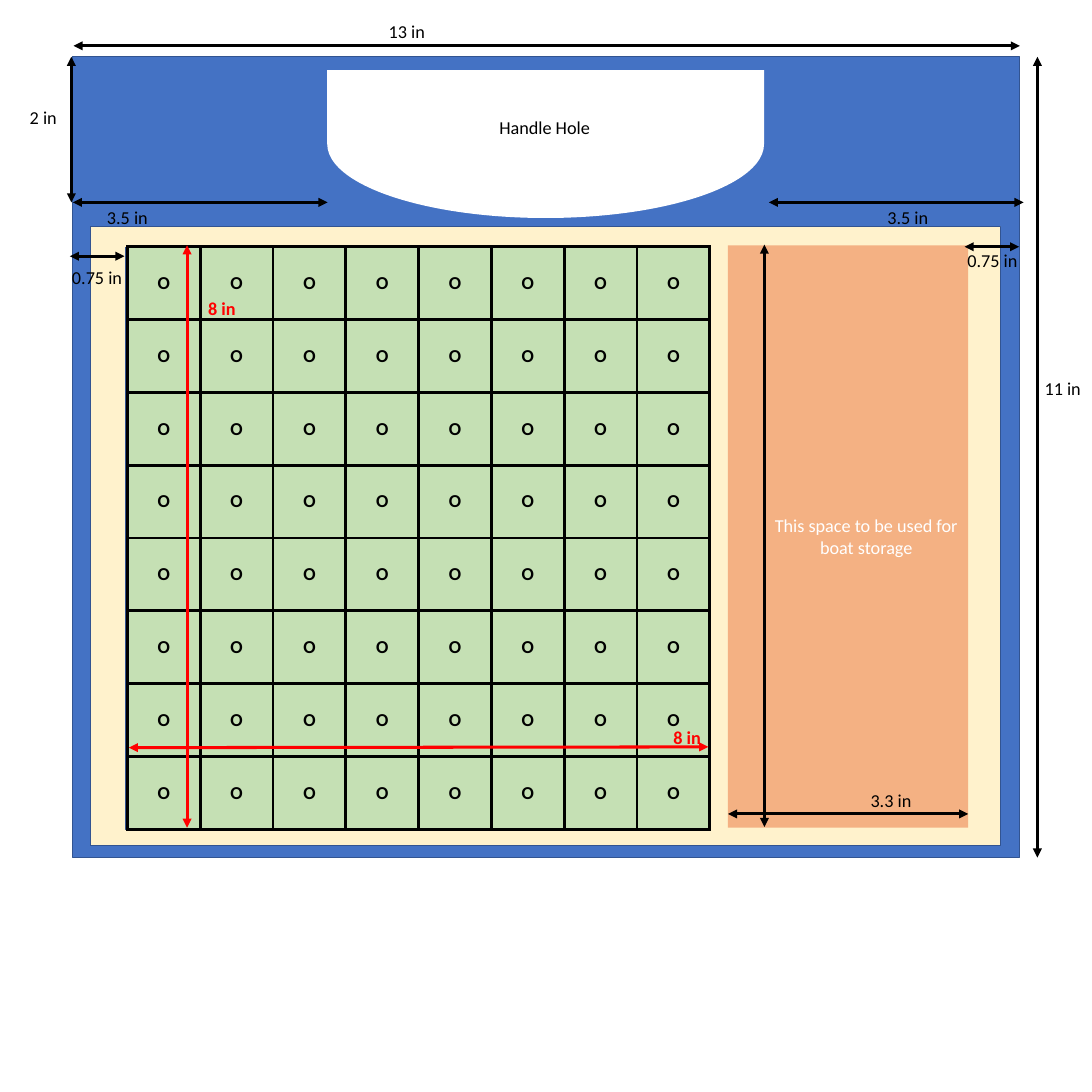
"""Draw the dimensioned plan of a game board with a handle and boat storage."""
from dataclasses import dataclass
from typing import Optional

from lxml.etree import SubElement
from pptx import Presentation
from pptx.dml.color import RGBColor
from pptx.enum.shapes import MSO_CONNECTOR, MSO_SHAPE as Kind
from pptx.enum.text import MSO_ANCHOR, MSO_AUTO_SIZE, PP_ALIGN
from pptx.oxml.ns import qn
from pptx.util import Emu, Pt

COLORS = {
    "frame": "4472C4", "edge": "325491", "inside": "FFF2CC", "grid": "C5E0B4",
    "storage": "F4B183", "white": "FFFFFF", "black": "000000", "red": "FF0000",
}
FONT = {"name": "Calibri", "size": Pt(18)}
CELLS, CELL = 8, 100


@dataclass(frozen=True)
class Panel:
    box: tuple[int, int, int, int]
    fill: str
    edge: Optional[str] = "edge"
    kind: Kind = Kind.RECTANGLE
    rotation: int = 0


@dataclass(frozen=True)
class Label:
    text: str
    box: tuple[int, int, int, int]
    color: str = "black"


@dataclass(frozen=True)
class Dimension:
    line: tuple[int, int, int, int]
    label: Optional[Label] = None
    color: str = "black"


FRAME = Panel((100, 78, 1300, 1100), "frame")
HANDLE = Panel((648, -102, 203, 600), "white", None, Kind.FLOWCHART_DELAY, 90)
HANDLE_LABEL = Label("Handle Hole", (676, 155, 148, 53))
INSIDE = Panel((125, 311, 1250, 850), "inside", kind=Kind.FLOWCHART_PROCESS)
GRID = Panel((173, 340, 800, 800), "grid")
STORAGE = Panel((1000, 337, 330, 800), "storage", None)

DIMENSIONS = [
    Dimension((98, 278, 98, 78), Label("2 in", (31, 141, 58, 40))),
    Dimension((100, 278, 450, 278), Label("3.5 in", (137, 278, 77, 40))),
    Dimension((1056, 278, 1406, 278), Label("3.5 in", (1209, 278, 77, 40))),
    Dimension((96, 352, 171, 352), Label("0.75 in", (89, 361, 90, 40))),
    Dimension((257, 1137, 257, 337), Label("8 in", (276, 404, 58, 40), "red"), "red"),
    Dimension((177, 1027, 973, 1026), Label("8 in", (915, 993, 58, 40), "red"), "red"),
    Dimension((1325, 339, 1400, 339), Label("0.75 in", (1319, 337, 90, 40))),
    Dimension((1000, 1118, 1330, 1118), Label("3.3 in", (1186, 1079, 77, 40))),
    Dimension((1050, 1136, 1050, 336)),
    Dimension((101, 63, 1401, 63), Label("13 in", (524, 23, 71, 40))),
    Dimension((1425, 78, 1425, 1178), Label("11 in", (1425, 513, 71, 40))),
]


def px(n: int) -> Emu:
    """Turn px, at 100 to the inch, into EMU."""
    return Emu(n * 9144)


def rgb(name: str) -> RGBColor:
    """Look up a named colour."""
    return RGBColor.from_string(COLORS[name])


def write(p, text: str, color: str, bold: bool = False) -> None:
    """Add one formatted run to a paragraph."""
    r = p.add_run()
    r.text = text
    for key, value in {**FONT, "bold": bold}.items():
        setattr(r.font, key, value)
    r.font.color.rgb = rgb(color)


def draw_panel(s, panel: Panel):
    """Draw one filled area."""
    sp = s.shapes.add_shape(panel.kind, *map(px, panel.box))
    sp.shadow.inherit = False
    sp.rotation = panel.rotation
    sp.fill.solid()
    sp.fill.fore_color.rgb = rgb(panel.fill)
    if panel.edge:
        sp.line.color.rgb = rgb(panel.edge)
        sp.line.width = Pt(1)
    else:
        sp.line.fill.background()
    return sp


def draw_label(s, label: Label):
    """Draw one unwrapped caption, bold when it is red."""
    sp = s.shapes.add_textbox(*map(px, label.box))
    tf = sp.text_frame
    for key, value in {"word_wrap": False, "auto_size": MSO_AUTO_SIZE.SHAPE_TO_FIT_TEXT}.items():
        setattr(tf, key, value)
    write(tf.paragraphs[0], label.text, label.color, label.color == "red")
    return sp


def draw_dimension(s, dim: Dimension) -> None:
    """Draw a double-headed arrow and its caption."""
    c = s.shapes.add_connector(MSO_CONNECTOR.STRAIGHT, *map(px, dim.line))
    c.line.color.rgb = rgb(dim.color)
    c.line.width = Pt(3)
    ln = c.line._get_or_add_ln()
    for end in ("a:headEnd", "a:tailEnd"):
        SubElement(ln, qn(end), type="triangle")
    SubElement(c._element.spPr, qn("a:effectLst"))
    if dim.label:
        draw_label(s, dim.label)


def add_borders(cell) -> None:
    """Give a table cell black borders on all sides."""
    tc_pr = cell._tc.get_or_add_tcPr()
    for i, side in enumerate("LRTB"):
        ln = SubElement(tc_pr, qn(f"a:ln{side}"), w=str(Pt(3)))
        fill = SubElement(ln, qn("a:solidFill"))
        SubElement(fill, qn("a:srgbClr"), val=COLORS["black"])
        tc_pr.insert(i, ln)


def draw_grid(s) -> None:
    """Draw the square table of holes."""
    side = px(CELLS * CELL)
    table = s.shapes.add_table(CELLS, CELLS, px(175), px(339), side, side).table
    table.first_row = table.horz_banding = False
    for cell in table.iter_cells():
        cell.fill.background()
        cell.vertical_anchor = MSO_ANCHOR.MIDDLE
        p = cell.text_frame.paragraphs[0]
        p.alignment = PP_ALIGN.CENTER
        write(p, "O", "black", True)
        add_borders(cell)


def draw_storage(s) -> None:
    """Draw the storage area with its indented note."""
    tf = draw_panel(s, STORAGE).text_frame
    tf.word_wrap = True
    tf.vertical_anchor = MSO_ANCHOR.MIDDLE
    p = tf.paragraphs[0]
    p.alignment, p.level = PP_ALIGN.CENTER, 1
    p._p.get_or_add_pPr().set("marL", str(px(50)))
    write(p, "This space to be used for boat storage", "white")


def main() -> None:
    """Build and save the slide."""
    prs = Presentation()
    prs.slide_width = prs.slide_height = px(1500)
    s = prs.slides.add_slide(prs.slide_layouts[6])
    draw_panel(s, FRAME)
    s.shapes.add_group_shape([draw_panel(s, HANDLE), draw_label(s, HANDLE_LABEL)])
    for panel in (INSIDE, GRID):
        draw_panel(s, panel)
    draw_grid(s)
    draw_storage(s)
    for dim in DIMENSIONS:
        draw_dimension(s, dim)
    prs.save("out.pptx")


if __name__ == "__main__":
    main()
